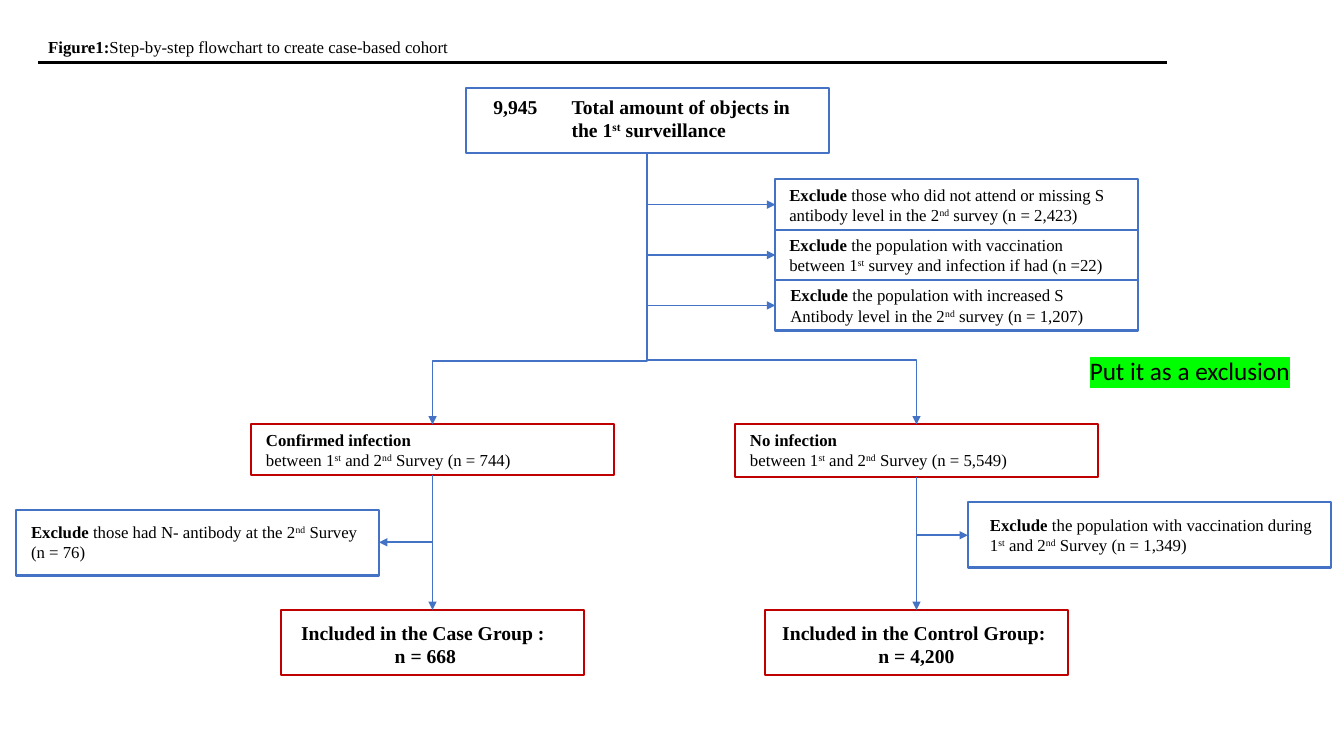
"""Draw the flowchart of a case-based cohort on one slide."""
from dataclasses import dataclass

from lxml import etree
from pptx import Presentation
from pptx import util as u
from pptx.dml import color
from pptx.enum import shapes, text
from pptx.oxml import ns


@dataclass(frozen=True)
class Theme:
    blue: str = "4472C4"
    red: str = "C00000"
    ink: str = "000000"
    mark: str = "00FF00"
    serif: str = "Times New Roman"
    sans: str = "Calibri"
    body: float = 12
    head: float = 14
    note: float = 18
    edge: float = 1.5
    link: float = 1.25


@dataclass(frozen=True)
class Label:
    left: float
    top: float
    words: str
    width: float = 3.5
    height: float = 0.5
    size: float = Theme.body
    align: str = "LEFT"
    font: str = Theme.serif
    wrap: bool = True
    mark: str = ""


@dataclass(frozen=True)
class Box:
    left: float
    top: float
    width: float = 3.6
    height: float = 0.65
    hue: str = Theme.blue


@dataclass(frozen=True)
class Link:
    start: tuple[float, float]
    end: tuple[float, float]
    hue: str = Theme.blue
    width: float = Theme.link
    arrow: bool = True
    bend: float = 0


THEME = Theme()
TRUNK, CASE, CONTROL = 6.42, 4.29, 9.09
ROWS = [1.78 + 0.5 * row for row in range(3)]

LABELS = [
    Label(0.38, 0.32, "*Figure1:*Step-by-step flowchart to create case-based cohort", 9.8, 0.3),
    Label(4.76, 0.89, "*9,945*", 0.67, 0.34, THEME.head, "RIGHT"),
    Label(5.57, 0.89, "*Total amount of objects in*\n*the 1^st^ surveillance*", 2.48, 0.57, THEME.head),
    Label(7.73, ROWS[0], "*Exclude* those who did not attend or missing S antibody level "
          "in the 2^nd^ survey (n = 2,423)"),
    Label(7.73, ROWS[1], "*Exclude* the population with vaccination between 1^st^ survey "
          "and infection if had (n =22)"),
    Label(7.74, ROWS[2], "*Exclude *the population with increased S Antibody level "
          "in the 2^nd^ survey (n = 1,207)"),
    Label(2.54, 4.21, "*Confirmed infection*\nbetween 1^st^ and 2^nd^ Survey (n = 744)"),
    Label(7.34, 4.21, "*No infection*\nbetween 1^st^ and 2^nd^ Survey (n = 5,549)"),
    Label(0.21, 5.13, "*Exclude* those had N- antibody at the 2^nd^ Survey (n = 76)"),
    Label(9.72, 5.06, "*Exclude* the population with vaccination during 1^st^ and 2^nd^ "
          "Survey (n = 1,349)"),
    Label(2.72, 6.11, "*Included in the Case Group : *\n*n = 668*", 3, 0.57, THEME.head, "CENTER"),
    Label(7.59, 6.11, "*Included in the Control Group: *\n*n = 4,200*", 3, 0.57, THEME.head, "CENTER"),
    Label(10.71, 3.48, "Put it as a exclusion", 2.21, 0.4, THEME.note,
          font=THEME.sans, wrap=False, mark=THEME.mark),
]

BOXES = [
    Box(4.62, 0.87),
    *(Box(7.69, top, height=0.5) for top in ROWS),
    Box(2.49, 4.21, height=0.5, hue=THEME.red),
    Box(7.29, 4.21, height=0.52, hue=THEME.red),
    Box(0.16, 5.06),
    Box(9.6, 4.98),
    Box(2.79, 6.05, 3, hue=THEME.red),
    Box(7.59, 6.05, 3, hue=THEME.red),
]

LINKS = [
    Link((0.38, 0.62), (11.57, 0.62), THEME.ink, THEME.edge, False),
    Link((TRUNK, 1.52), (CASE, 4.21), bend=3.58),
    Link((TRUNK, 1.52), (CONTROL, 4.21), bend=3.57),
    *(Link((TRUNK, top + 0.25), (7.69, top + 0.25)) for top in ROWS),
    Link((CASE, 4.71), (CASE, 6.05)),
    Link((CONTROL, 4.73), (CONTROL, 6.05)),
    Link((CASE, 5.38), (3.76, 5.38)),
    Link((CONTROL, 5.31), (9.6, 5.31)),
]


def add_run(para, words: str, *, size: float, font: str, bold: bool, high: bool, mark: str) -> None:
    """Add one run of text in the given format."""
    run = para.add_run()
    run.text = words
    run.font.size, run.font.name, run.font.bold = u.Pt(size), font, bold
    run.font.color.rgb = color.RGBColor.from_string(THEME.ink)
    props = run.font._element if hasattr(run.font, "_element") else run._r.get_or_add_rPr()
    if high:
        props.set("baseline", "30000")
    if mark:
        glow = etree.Element(ns.qn("a:highlight"))
        etree.SubElement(glow, ns.qn("a:srgbClr"), val=mark)
        props.find(ns.qn("a:solidFill")).addnext(glow)


def add_label(slide, item: Label) -> None:
    """Add a text box where * toggles bold and ^ toggles superscript."""
    area = (item.left, item.top, item.width, item.height)
    frame = slide.shapes.add_textbox(*map(u.Inches, area)).text_frame
    frame.word_wrap = item.wrap
    frame.auto_size = text.MSO_AUTO_SIZE.SHAPE_TO_FIT_TEXT
    for row, line in enumerate(item.words.split("\n")):
        para = frame.add_paragraph() if row else frame.paragraphs[0]
        para.alignment = text.PP_ALIGN[item.align]
        for part, chunk in enumerate(line.split("*")):
            for piece, words in enumerate(chunk.split("^")):
                if words:
                    add_run(para, words, size=item.size, font=item.font,
                            bold=part % 2 == 1, high=piece % 2 == 1, mark=item.mark)


def add_box(slide, item: Box) -> None:
    """Add an outlined box without fill."""
    area = (item.left, item.top, item.width, item.height)
    box = slide.shapes.add_shape(shapes.MSO_SHAPE.RECTANGLE, *map(u.Inches, area))
    box.shadow.inherit = False
    box.fill.background()
    box.line.color.rgb = color.RGBColor.from_string(item.hue)
    box.line.width = u.Pt(item.width and THEME.edge)


def add_link(slide, item: Link) -> None:
    """Add a straight line, or an elbow that leaves downwards and turns at the bend."""
    (left, top), (right, low) = item.start, item.end
    kind, ends = shapes.MSO_CONNECTOR.STRAIGHT, (left, top, right, low)
    if item.bend:
        mid, level = (left + right) / 2, (top + low) / 2
        half, rise = (low - top) / 2, (right - left) / 2
        kind = shapes.MSO_CONNECTOR.ELBOW
        ends = (mid - half, level + rise, mid + half, level - rise)
    link = slide.shapes.add_connector(kind, *map(u.Inches, ends))
    link.line.color.rgb = color.RGBColor.from_string(item.hue)
    link.line.width = u.Pt(item.width)
    props = link._element.spPr
    if item.bend:
        props.find(ns.qn("a:xfrm")).set("rot", "5400000")
        ratio = round((item.bend - top) / (low - top) * 100000)
        guides = props.find(ns.qn("a:prstGeom")).find(ns.qn("a:avLst"))
        etree.SubElement(guides, ns.qn("a:gd"), name="adj1", fmla=f"val {ratio}")
    if item.arrow:
        etree.SubElement(props.find(ns.qn("a:ln")), ns.qn("a:tailEnd"), type="triangle")
    etree.SubElement(props, ns.qn("a:effectLst"))


def main() -> None:
    """Build the slide and save it."""
    deck = Presentation()
    deck.slide_width, deck.slide_height = u.Inches(13.33), u.Inches(7.5)
    slide = deck.slides.add_slide(deck.slide_layouts[6])
    for label in LABELS:
        add_label(slide, label)
    for box in BOXES:
        add_box(slide, box)
    for link in LINKS:
        add_link(slide, link)
    deck.save("out.pptx")


if __name__ == "__main__":
    main()
